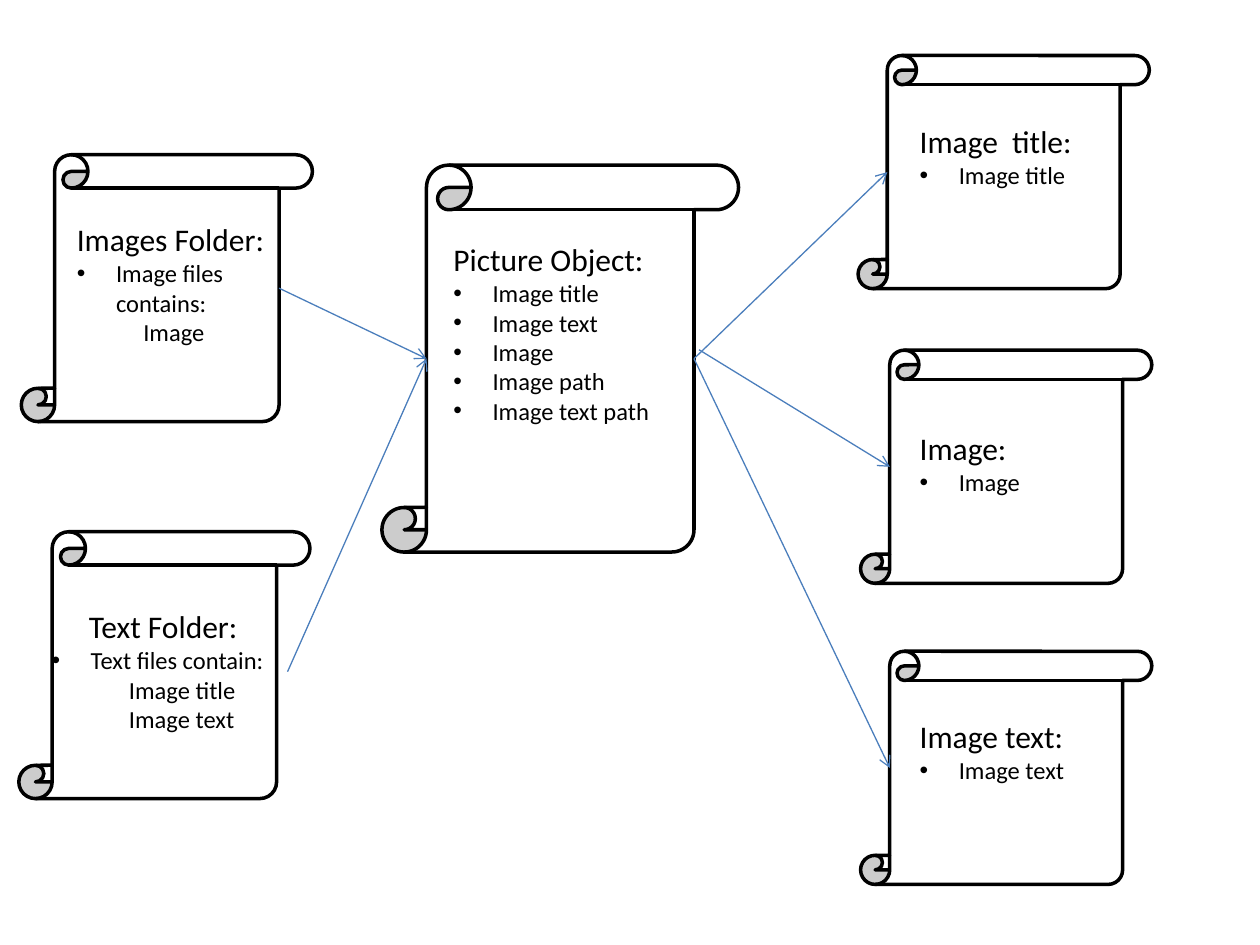
from dataclasses import dataclass

import pptx
import pptx.dml.color
import pptx.enum.shapes
import pptx.enum.text
import pptx.oxml.ns
import pptx.util
from lxml import etree

Cm = pptx.util.Cm
Pt = pptx.util.Pt
RGBColor = pptx.dml.color.RGBColor
Align = pptx.enum.text.PP_ALIGN
qualify = pptx.oxml.ns.qn


@dataclass(frozen=True)
class Theme:
    font: str = "Calibri"
    title_size: float = 18
    body_size: float = 14
    ink: RGBColor = RGBColor(0, 0, 0)
    paper: RGBColor = RGBColor(255, 255, 255)
    arrow: RGBColor = RGBColor(0x4B, 0x7E, 0xBC)
    outline_width: float = 2
    arrow_width: float = 0.75
    bullet_indent: float = 0.79


@dataclass(frozen=True)
class Box:
    left: float
    top: float
    width: float
    height: float


@dataclass(frozen=True)
class Scroll:
    frame: Box
    label: Box
    title: str
    bullets: tuple[str, ...]
    details: tuple[str, ...] = ()
    detail_indent: float = 0
    title_align: Align = Align.LEFT

    @property
    def roll(self) -> float:
        return min(self.frame.width, self.frame.height) / 8

    @property
    def middle(self) -> float:
        return self.frame.top + self.frame.height / 2

    @property
    def left_side(self) -> tuple[float, float]:
        return self.frame.left + self.roll, self.middle

    @property
    def right_side(self) -> tuple[float, float]:
        return self.frame.left + self.frame.width - self.roll, self.middle


@dataclass(frozen=True)
class Link:
    source: Scroll
    target: Scroll
    shift: tuple[float, float] = (0, 0)


THEME = Theme()


def lengths(box: Box) -> tuple[Cm, ...]:
    return Cm(box.left), Cm(box.top), Cm(box.width), Cm(box.height)


def write(paragraph, text: str, *, size: float, align: Align = Align.LEFT,
          indent: float = 0, bullet: bool = False) -> None:
    run = paragraph.add_run()
    run.text = text
    run.font.name = THEME.font
    run.font.size = Pt(size)
    run.font.color.rgb = THEME.ink
    paragraph.alignment = align
    properties = paragraph._p.get_or_add_pPr()
    properties.set("marL", str(Cm(indent)))
    properties.set("indent", str(-Cm(indent) if bullet else 0))
    if bullet:
        font = etree.SubElement(properties, qualify("a:buFont"))
        font.set("typeface", "Arial")
        mark = etree.SubElement(properties, qualify("a:buChar"))
        mark.set("char", "•")


def draw_scroll(slide, scroll: Scroll) -> None:
    shape = slide.shapes.add_shape(
        pptx.enum.shapes.MSO_SHAPE.VERTICAL_SCROLL, *lengths(scroll.frame))
    shape.shadow.inherit = False
    shape.fill.solid()
    shape.fill.fore_color.rgb = THEME.paper
    shape.line.color.rgb = THEME.ink
    shape.line.width = Pt(THEME.outline_width)

    text_frame = slide.shapes.add_textbox(*lengths(scroll.label)).text_frame
    text_frame.word_wrap = True
    text_frame.auto_size = pptx.enum.text.MSO_AUTO_SIZE.SHAPE_TO_FIT_TEXT
    write(text_frame.paragraphs[0], scroll.title,
          size=THEME.title_size, align=scroll.title_align)
    for text in scroll.bullets:
        write(text_frame.add_paragraph(), text, size=THEME.body_size,
              indent=THEME.bullet_indent, bullet=True)
    for text in scroll.details:
        write(text_frame.add_paragraph(), text, size=THEME.body_size,
              indent=scroll.detail_indent)


def draw_link(slide, link: Link) -> None:
    start = [side + shift for side, shift in zip(link.source.right_side, link.shift)]
    connector = slide.shapes.add_connector(
        pptx.enum.shapes.MSO_CONNECTOR.STRAIGHT,
        *map(Cm, start), *map(Cm, link.target.left_side))
    connector.line.color.rgb = THEME.arrow
    connector.line.width = Pt(THEME.arrow_width)
    head = etree.SubElement(connector.line._get_or_add_ln(), qualify("a:tailEnd"))
    head.set("type", "arrow")
    etree.SubElement(connector._element.spPr, qualify("a:effectLst"))


def result_scroll(left: float, top: float, label_top: float,
                  title: str, bullet: str) -> Scroll:
    return Scroll(Box(left, top, 5.87, 4.7), Box(18.29, label_top, 3.81, 1.63),
                  title, (bullet,))


picture_object = Scroll(
    Box(7.7, 3.33, 7.19, 7.8), Box(8.89, 4.72, 5.21, 4.62), "Picture Object:",
    ("Image title", "Image text", "Image", "Image path", "Image text path"))
images_folder = Scroll(
    Box(0.43, 3.12, 5.87, 5.38), Box(1.3, 4.32, 4.6, 2.82), "Images Folder:",
    ("Image files contains:",), ("Image",), 1.34)
text_folder = Scroll(
    Box(0.38, 10.72, 5.87, 5.38), Box(0.79, 12.12, 5, 2.82), "Text Folder:",
    ("Text files contain:",), ("Image title", "Image text"), 1.56, Align.CENTER)
image_title = result_scroll(17.3, 1.12, 2.34, "Image  title:", "Image title")
image = result_scroll(17.35, 7.06, 8.53, "Image:", "Image")
image_text = result_scroll(17.35, 13.13, 14.33, "Image text:", "Image text")

SCROLLS = (picture_object, images_folder, text_folder, image_title, image, image_text)
LINKS = (
    Link(images_folder, picture_object),
    Link(text_folder, picture_object, (0.22, 0.13)),
    Link(picture_object, image_title),
    Link(picture_object, image_text),
    Link(picture_object, image, (0.1, -0.18)),
)


def main() -> None:
    presentation = pptx.Presentation()
    presentation.slide_width = Cm(25.4)
    presentation.slide_height = Cm(19.05)
    slide = presentation.slides.add_slide(presentation.slide_layouts[6])
    for scroll in SCROLLS:
        draw_scroll(slide, scroll)
    for link in LINKS:
        draw_link(slide, link)
    presentation.save("out.pptx")


main()
